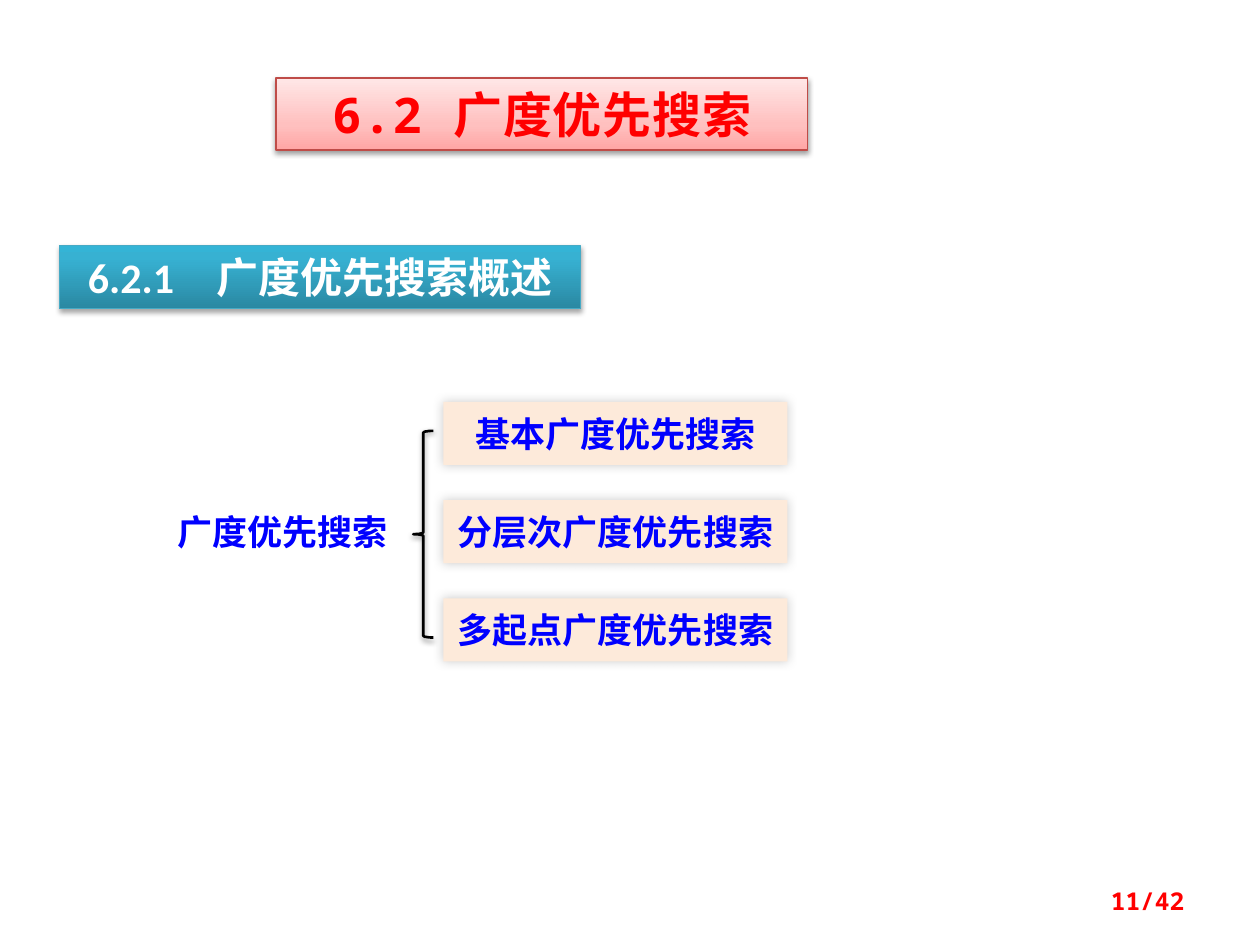
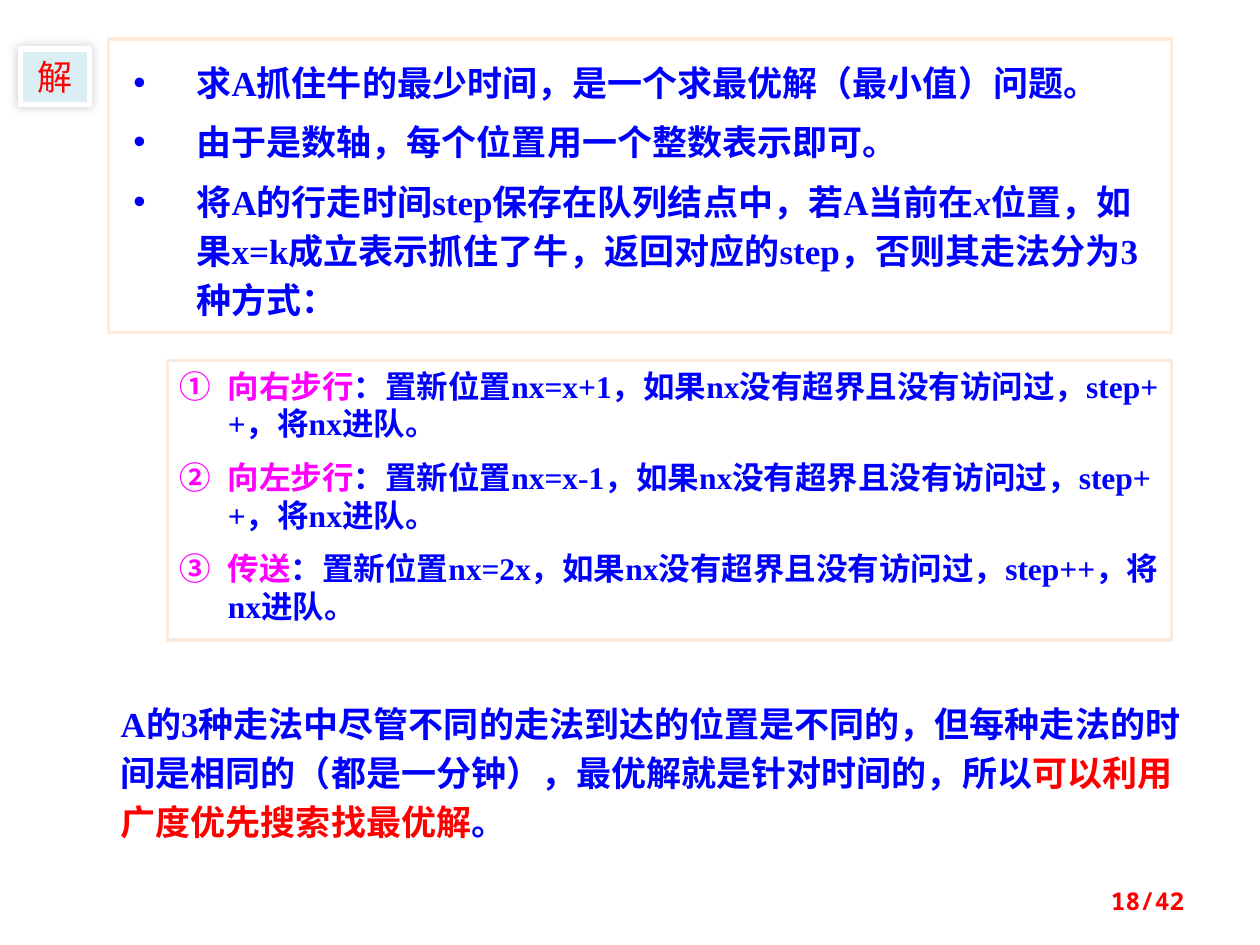
from lxml import etree
from pptx import Presentation
from pptx.dml.color import RGBColor
from pptx.enum import shapes, text
from pptx.oxml.ns import qn
from pptx.util import Inches, Pt

BLUE, RED, PINK, PEACH, WHITE = "0000FF", "FF0000", "FF00FF", "FDEADA", "FFFFFF"
HAN, MONO, SERIF = "Noto Sans CJK SC", "Noto Sans Mono", "Times New Roman"
RECT = shapes.MSO_SHAPE.RECTANGLE
LEFT, MID, RIGHT = text.PP_ALIGN.LEFT, text.PP_ALIGN.CENTER, text.PP_ALIGN.RIGHT
# Shadows: opacity %, blur pt, distance pt, direction in degrees
DROP, DEEP, GLOW, BACK = (38, 3.1, 1.6, 90), (35, 3.1, 1.8, 90), (20, 6, 0, 315), (20, 6, 0, 225)


def rgb(code):
    return RGBColor.from_string(code)


def node(parent, tag, **attrs):
    return etree.SubElement(parent, qn("a:" + tag), {k: str(v) for k, v in attrs.items()})


class Deck:
    def __init__(self, total):
        self.prs = Presentation()
        self.prs.slide_width, self.prs.slide_height = Inches(10), Inches(7.5)
        self.total = total
        self.slide = None

    def page(self, num, titled=False):
        layout = self.prs.slide_layouts[5 if titled else 6]
        self.slide = self.prs.slides.add_slide(layout)
        foot = self.label(7.17, 6.95, 2.33, 0.4)
        foot.text_frame.vertical_anchor = text.MSO_ANCHOR.MIDDLE
        self.say(foot, f"{num}/{self.total}", 14, MONO, RED, align=RIGHT)

    def title(self, words, x, y, w, h):
        shape = self.slide.shapes.title
        shape.left, shape.top, shape.width, shape.height = map(Inches, (x, y, w, h))
        self.say(shape, words, 28, MONO, RED, align=MID)
        for run in shape.text_frame.paragraphs[0].runs:
            run._r.get_or_add_rPr().set("spc", "50")
        return shape

    def label(self, x, y, w, h):
        return self.slide.shapes.add_textbox(*map(Inches, (x, y, w, h)))

    def box(self, x, y, w, h, kind=RECT):
        return self.slide.shapes.add_shape(kind, *map(Inches, (x, y, w, h)))

    def paint(self, shape, fill=None, line=None, width=1, shadow=None):
        """Fill is a colour, a list of (position, colour) stops, or None."""
        if isinstance(fill, list):
            shape.fill.gradient()
            shape.fill.gradient_angle = 90
            stops = shape._element.spPr.find(qn("a:gradFill")).find(qn("a:gsLst"))
            stops.clear()
            for pos, code in fill:
                node(node(stops, "gs", pos=pos * 1000), "srgbClr", val=code)
        elif fill:
            shape.fill.solid()
            shape.fill.fore_color.rgb = rgb(fill)
        else:
            shape.fill.background()
        if line:
            shape.line.color.rgb = rgb(line)
            shape.line.width = Pt(width)
        else:
            shape.line.fill.background()
        shape.shadow.inherit = False
        if shadow:
            alpha, blur, dist, turn = shadow
            effects = shape._element.spPr.find(qn("a:effectLst"))
            outer = node(effects, "outerShdw", blurRad=int(Pt(blur)), dist=int(Pt(dist)),
                         dir=turn * 60000, algn="ctr", rotWithShape=0)
            node(node(outer, "srgbClr", val="000000"), "alpha", val=alpha * 1000)
        return shape

    def say(self, shape, paras, size, font, color, bold=True, align=LEFT,
            space=0, lead=None, bullet=None, indent=0, pad=None):
        """Each paragraph is a string or a list of strings and (string, style) pairs."""
        frame = shape.text_frame
        frame.word_wrap = True
        frame.auto_size = text.MSO_AUTO_SIZE.NONE
        if not shape.is_placeholder and shape.shape_type == shapes.MSO_SHAPE_TYPE.AUTO_SHAPE:
            frame.vertical_anchor = text.MSO_ANCHOR.TOP
        if pad:
            frame.margin_left, frame.margin_top = map(Inches, pad)
            frame.margin_bottom = frame.margin_top
        for i, parts in enumerate([paras] if isinstance(paras, str) else paras):
            para = frame.add_paragraph() if i else frame.paragraphs[0]
            para.alignment = align
            para.space_before = Pt(space if i else 0)
            if lead:
                para.line_spacing = Pt(lead)
            if bullet:
                self.mark(para, bullet, indent)
            for part in [parts] if isinstance(parts, str) else parts:
                words, style = (part, {}) if isinstance(part, str) else part
                run = para.add_run()
                run.text = words
                face = run.font
                face.size, face.bold, face.name = Pt(size), bold, font
                face.italic = style.get("italic", False)
                face.color.rgb = rgb(style.get("color", color))
                node(run._r.get_or_add_rPr(), "ea", typeface=HAN)

    def mark(self, para, bullet, indent):
        props = para._p.get_or_add_pPr()
        props.set("marL", str(Inches(indent)))
        props.set("indent", str(-Inches(indent)))
        if bullet == "•":
            node(props, "buFont", typeface="Arial")
            node(props, "buChar", char=bullet)
        else:
            node(props, "buFont", typeface=HAN)
            node(props, "buAutoNum", type=bullet)


def outline(deck):
    deck.page(11, titled=True)

    # Chapter and section headings
    head = deck.title("6.2 广度优先搜索", 2.19, 0.62, 4.22, 0.57)
    deck.paint(head, [(0, "FFA6A5"), (35, "FFC0BF"), (100, "FFE7E7")], "BF4C48", 0.75, DROP)
    part = deck.box(0.47, 1.95, 4.14, 0.5)
    deck.paint(part, [(0, "2A88A2"), (80, "37B1D2"), (100, "34B4D6")], "46AAC5", 0.75, DEEP)
    deck.say(part, "6.2.1　广度优先搜索概述", 24, "Calibri", WHITE, align=MID)

    # Tree of search kinds
    deck.say(deck.label(1.31, 4, 2.05, 0.44), "广度优先搜索", 20, HAN, BLUE)
    for i, kind in enumerate(["基本", "分层次", "多起点"]):
        leaf = deck.paint(deck.box(3.52, 3.19 + 0.78 * i, 2.73, 0.5), PEACH, shadow=GLOW)
        deck.say(leaf, kind + "广度优先搜索", 20, HAN, BLUE, align=MID, pad=(0.1, 0.08))
    brace = deck.box(3.28, 3.42, 0.16, 1.64, shapes.MSO_SHAPE.LEFT_BRACE)
    deck.paint(brace, None, "000000", 1.5, DROP)


def answer(deck):
    deck.page(18)

    # Tag
    tag = deck.paint(deck.box(0.16, 0.39, 0.55, 0.44), "DBEEF4", WHITE, 3, BACK)
    deck.say(tag, "解", 20, HAN, RED, bold=False, align=MID)

    # Analysis
    facts = deck.paint(deck.box(0.86, 0.31, 8.44, 2.33), WHITE, PEACH, 2)
    deck.say(facts, [
        "求A抓住牛的最少时间，是一个求最优解（最小值）问题。",
        "由于是数轴，每个位置用一个整数表示即可。",
        ["将A的行走时间step保存在队列结点中，若A当前在", ("x", {"italic": True}),
         "位置，如果x=k成立表示抓住了牛，返回对应的step，否则其走法分为3种方式："],
    ], 20, SERIF, BLUE, space=6, lead=28, bullet="•", indent=0.5, pad=(0.2, 0.12))

    # Three moves
    moves = [("向右步行", "x+1"), ("向左步行", "x-1"), ("传送", "2x")]
    steps = deck.paint(deck.box(1.33, 2.86, 7.97, 2.22), WHITE, PEACH, 2)
    deck.say(steps, [
        [(name, {"color": PINK}),
         f"：置新位置nx={goal}，如果nx没有超界且没有访问过，step++，将nx进队。"]
        for name, goal in moves
    ], 18, SERIF, BLUE, space=9, bullet="circleNumDbPlain", indent=0.38)

    # Conclusion
    deck.say(deck.label(0.86, 5.47, 8.67, 1.24), [[
        "A的3种走法中尽管不同的走法到达的位置是不同的，但每种走法的时间是相同的"
        "（都是一分钟），最优解就是针对时间的，所以",
        ("可以利用广度优先搜索找最优解", {"color": RED}), "。",
    ]], 20, SERIF, BLUE, lead=28)


def main():
    deck = Deck(42)
    outline(deck)
    answer(deck)
    deck.prs.save("out.pptx")


if __name__ == "__main__":
    main()
